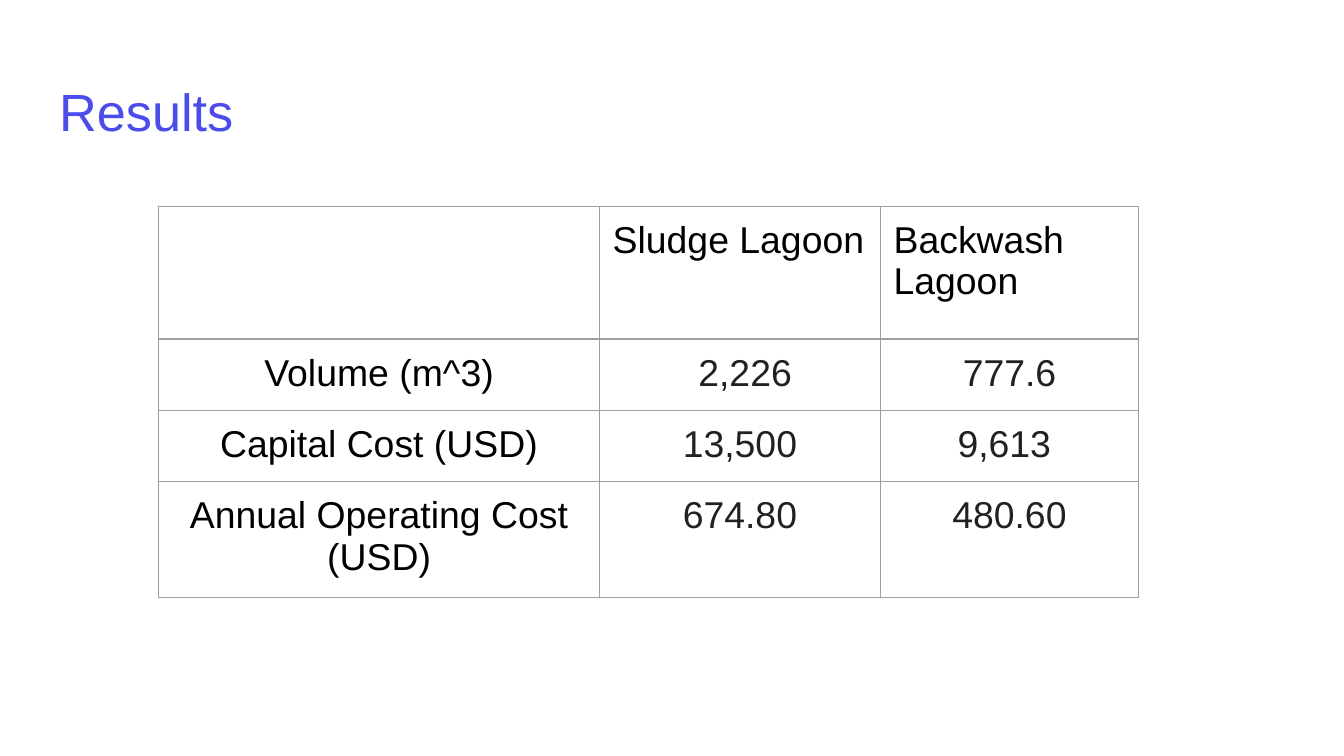
"""Build the results slide: a title and a table comparing two lagoons."""
from lxml import etree
from pptx import Presentation, util as u
from pptx.dml.color import RGBColor
from pptx.enum import text
from pptx.oxml import ns

TITLE = "Results"
HEADER = ("", "Sludge Lagoon", "Backwash Lagoon")
RESULTS = [
    ("Volume (m^3)", " 2,226", "777.6"),
    ("Capital Cost (USD)", "13,500", "9,613 "),
    ("Annual Operating Cost (USD)", "674.80", "480.60"),
]
COLORS = {"title": "4C4CEB", "label": "000000", "value": "212121", "border": "9E9E9E"}
FONT = "Arial"
COLUMN_WIDTHS = (8.33, 5.31, 4.88)
ROW_HEIGHTS = (2.51, 1.28, 1.28, 1.93)
INSET = u.Cm(0.25)


def set_insets(frame):
    frame.margin_left = frame.margin_right = INSET
    frame.margin_top = frame.margin_bottom = INSET


def add_span(para, words, size, color):
    span = para.add_run()
    span.text = words
    span.font.name = FONT
    span.font.size = u.Pt(size)
    span.font.color.rgb = RGBColor.from_string(COLORS[color])


def add_borders(cell):
    properties = cell._tc.get_or_add_tcPr()
    for side in ("lnL", "lnR", "lnT", "lnB"):
        line = etree.SubElement(properties, ns.qn(f"a:{side}"), w=str(u.Pt(0.75)))
        fill = etree.SubElement(line, ns.qn("a:solidFill"))
        etree.SubElement(fill, ns.qn("a:srgbClr"), val=COLORS["border"])


def add_title(page):
    box = page.shapes.add_textbox(u.Cm(0.87), u.Cm(1.24), u.Cm(23.67), u.Cm(1.6))
    box.text_frame.word_wrap = True
    set_insets(box.text_frame)
    add_span(box.text_frame.paragraphs[0], TITLE, 28, "title")


def add_results(page):
    rows = [HEADER, *RESULTS]
    table = page.shapes.add_table(
        len(rows), len(HEADER), u.Cm(3), u.Cm(3.9),
        u.Cm(sum(COLUMN_WIDTHS)), u.Cm(sum(ROW_HEIGHTS))).table
    table.first_row = table.horz_banding = False
    for column, width in zip(table.columns, COLUMN_WIDTHS):
        column.width = u.Cm(width)
    for row, height in zip(table.rows, ROW_HEIGHTS):
        row.height = u.Cm(height)
    for r, row in enumerate(rows):
        for c, words in enumerate(row):
            cell = table.cell(r, c)
            set_insets(cell)
            add_borders(cell)
            cell.fill.background()
            para = cell.text_frame.paragraphs[0]
            if r:
                para.alignment = text.PP_ALIGN.CENTER
            if words:
                add_span(para, words, 20, "value" if r and c else "label")


def main():
    deck = Presentation()
    deck.slide_width, deck.slide_height = u.Cm(25.4), u.Cm(14.29)
    page = deck.slides.add_slide(deck.slide_layouts[6])
    add_title(page)
    add_results(page)
    deck.save("out.pptx")


if __name__ == "__main__":
    main()
